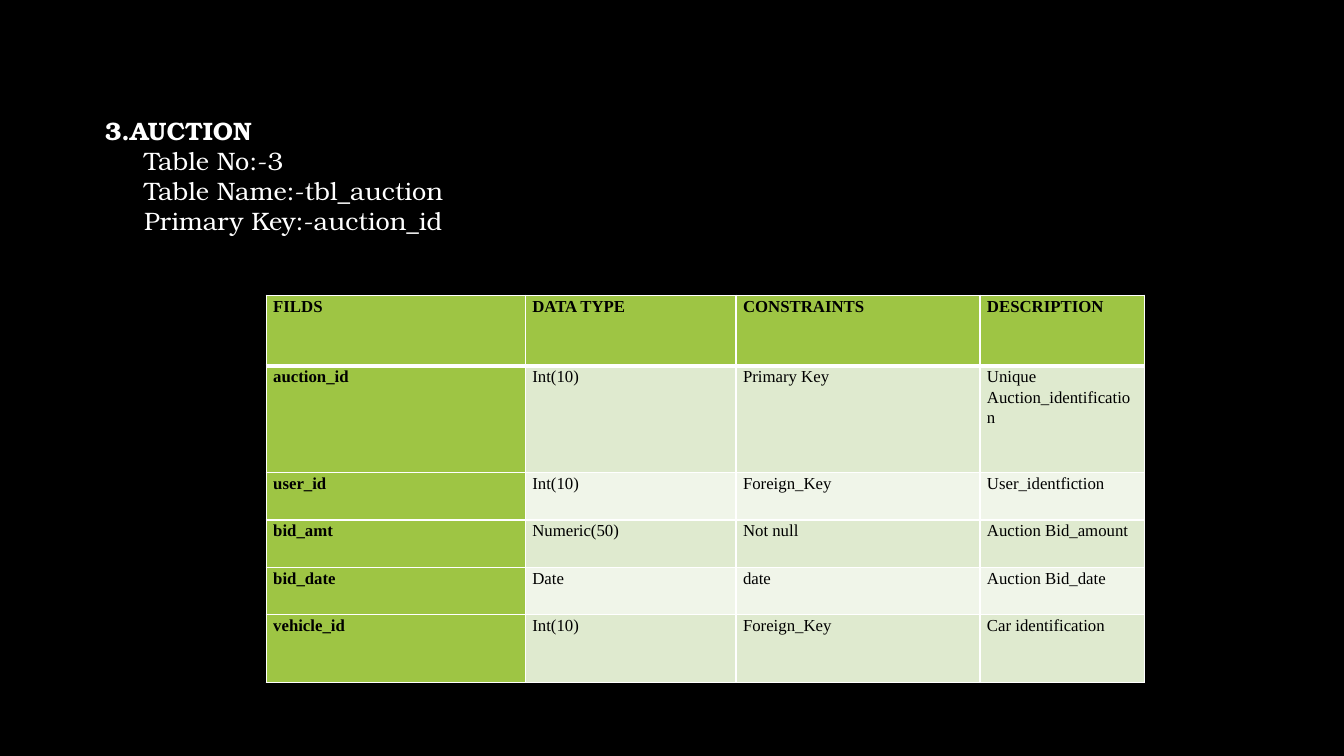
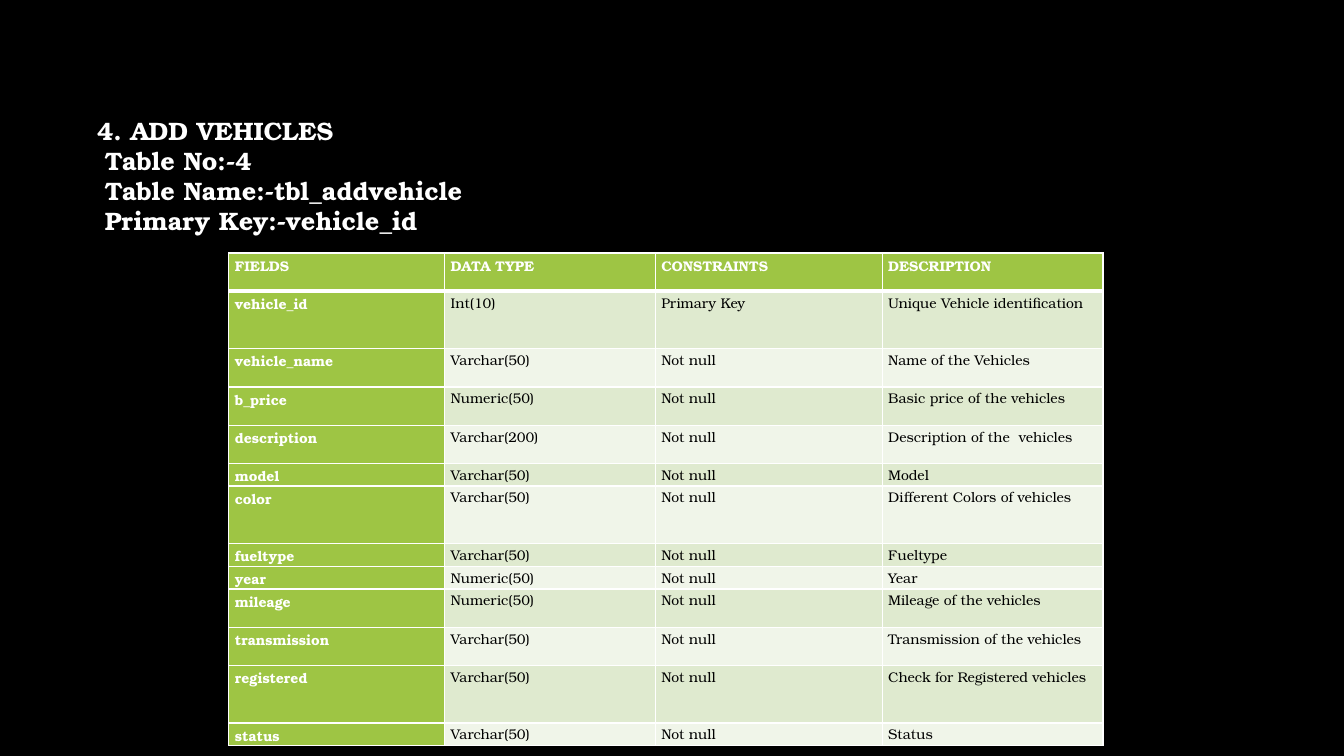
from lxml.etree import SubElement
from pptx import Presentation
from pptx.dml.color import RGBColor
from pptx.enum.text import MSO_ANCHOR, MSO_AUTO_SIZE, PP_ALIGN
from pptx.oxml.ns import qn
from pptx.util import Inches, Pt

COLORS = {
    "back": "000000",
    "white": "FFFFFF",
    "black": "000000",
    "green": "9EC544",
    "odd": "DFEACF",
    "even": "F0F5E9",
}
SERIF = "TeX Gyre Bonum"
ROMAN = "Times New Roman"

SLIDES = [
    {
        "head": ["3.AUCTION", "Table No:-3", "Table Name:-tbl_auction",
                 "Primary Key:-auction_id"],
        "indents": (0.08, 0.47),
        "bold": False,
        "at": (2.64, 2.93),
        "cols": [2.57, 2.09, 2.42, 1.63],
        "heights": [0.7, 1.06, 0.47, 0.47, 0.47, 0.67],
        "font": (ROMAN, 12),
        "label": "black",
        "inset": 0.07,
        "rows": [
            ("FILDS", "DATA TYPE", "CONSTRAINTS", "DESCRIPTION"),
            ("auction_id", "Int(10)", "Primary Key", "Unique Auction_identification"),
            ("user_id", "Int(10)", "Foreign_Key", "User_identfiction"),
            ("bid_amt", "Numeric(50)", "Not null", "Auction Bid_amount"),
            ("bid_date", "Date", "date", "Auction Bid_date"),
            ("vehicle_id", "Int(10)", "Foreign_Key", "Car identification"),
        ],
    },
    {
        "head": ["4. ADD VEHICLES", "Table No:-4", "Table Name:-tbl_addvehicle",
                 "Primary Key:-vehicle_id"],
        "indents": (0, 0.08),
        "bold": True,
        "at": (2.27, 2.51),
        "cols": [2.14, 2.09, 2.25, 2.19],
        "heights": [0.38, 0.57, 0.38, 0.38, 0.38, 0.22, 0.57, 0.23, 0.21,
                    0.38, 0.38, 0.57, 0.22],
        "font": (SERIF, 10),
        "label": "white",
        "inset": 0.06,
        "rows": [
            ("FIELDS", "DATA TYPE", "CONSTRAINTS", "DESCRIPTION"),
            ("vehicle_id", "Int(10)", "Primary Key", "Unique Vehicle identification"),
            ("vehicle_name", "Varchar(50)", "Not null", "Name of the Vehicles"),
            ("b_price", "Numeric(50)", "Not null", "Basic price of the vehicles"),
            ("description", "Varchar(200)", "Not null", "Description of the  vehicles"),
            ("model", "Varchar(50)", "Not null", "Model"),
            ("color", "Varchar(50)", "Not null", "Different Colors of vehicles"),
            ("fueltype", "Varchar(50)", "Not null", "Fueltype"),
            ("year", "Numeric(50)", "Not null", "Year"),
            ("mileage", "Numeric(50)", "Not null", "Mileage of the vehicles"),
            ("transmission", "Varchar(50)", "Not null", "Transmission of the vehicles"),
            ("registered", "Varchar(50)", "Not null", "Check for Registered vehicles"),
            ("status", "Varchar(50)", "Not null", "Status"),
        ],
    },
]


def color(name):
    return RGBColor.from_string(COLORS[name])


def set_font(para, name, size, bold, tint):
    font = para.font
    font.name, font.size, font.bold = name, Pt(size), bold
    font.color.rgb = color(tint)


def add_head(slide, data):
    title = slide.shapes.title
    title.left, title.top = Inches(0.86), Inches(1.09)
    title.width, title.height = Inches(12), Inches(1.29)
    frame = title.text_frame
    frame.text = "\n".join(data["head"])
    frame.word_wrap = True
    frame.auto_size = MSO_AUTO_SIZE.NONE
    frame.vertical_anchor = MSO_ANCHOR.TOP
    first, rest = data["indents"]
    for i, para in enumerate(frame.paragraphs):
        para.alignment = PP_ALIGN.LEFT
        set_font(para, SERIF, 18, i == 0 or data["bold"], "white")
        indent = rest if i else first
        para._p.get_or_add_pPr().set("marL", str(Inches(indent)))


def set_edges(cell, row):
    """Draw white cell borders, thick between the header and the body."""
    props = cell._tc.get_or_add_tcPr()
    widths = {"lnL": 1, "lnR": 1, "lnT": 3 if row == 1 else 1,
              "lnB": 3 if row == 0 else 1}
    for tag, width in widths.items():
        line = SubElement(props, qn("a:" + tag), w=str(Pt(width)))
        fill = SubElement(line, qn("a:solidFill"))
        SubElement(fill, qn("a:srgbClr"), val=COLORS["white"])


def fill_cell(cell, text, row, col, data):
    label = row == 0 or col == 0
    cell.text = text
    cell.margin_left = cell.margin_right = Inches(data["inset"])
    cell.margin_top = cell.margin_bottom = 0
    para = cell.text_frame.paragraphs[0]
    para.alignment = PP_ALIGN.JUSTIFY
    para.line_spacing = 1.1
    set_font(para, *data["font"], label, data["label"] if label else "black")
    set_edges(cell, row)
    cell.fill.solid()
    band = "odd" if row % 2 else "even"
    cell.fill.fore_color.rgb = color("green" if label else band)


def add_grid(slide, data):
    rows, cols, heights = data["rows"], data["cols"], data["heights"]
    box = (*data["at"], sum(cols), sum(heights))
    table = slide.shapes.add_table(len(rows), len(cols), *map(Inches, box)).table
    table.horz_banding = False
    for col, width in zip(table.columns, cols):
        col.width = Inches(width)
    for row, height in zip(table.rows, heights):
        row.height = Inches(height)
    for r, texts in enumerate(rows):
        for c, text in enumerate(texts):
            fill_cell(table.cell(r, c), text, r, c, data)


def main():
    prs = Presentation()
    prs.slide_width, prs.slide_height = Inches(13.33), Inches(7.5)
    back = prs.slide_master.background.fill
    back.solid()
    back.fore_color.rgb = color("back")
    for data in SLIDES:
        slide = prs.slides.add_slide(prs.slide_layouts[5])
        add_head(slide, data)
        add_grid(slide, data)
    prs.save("out.pptx")


if __name__ == "__main__":
    main()
